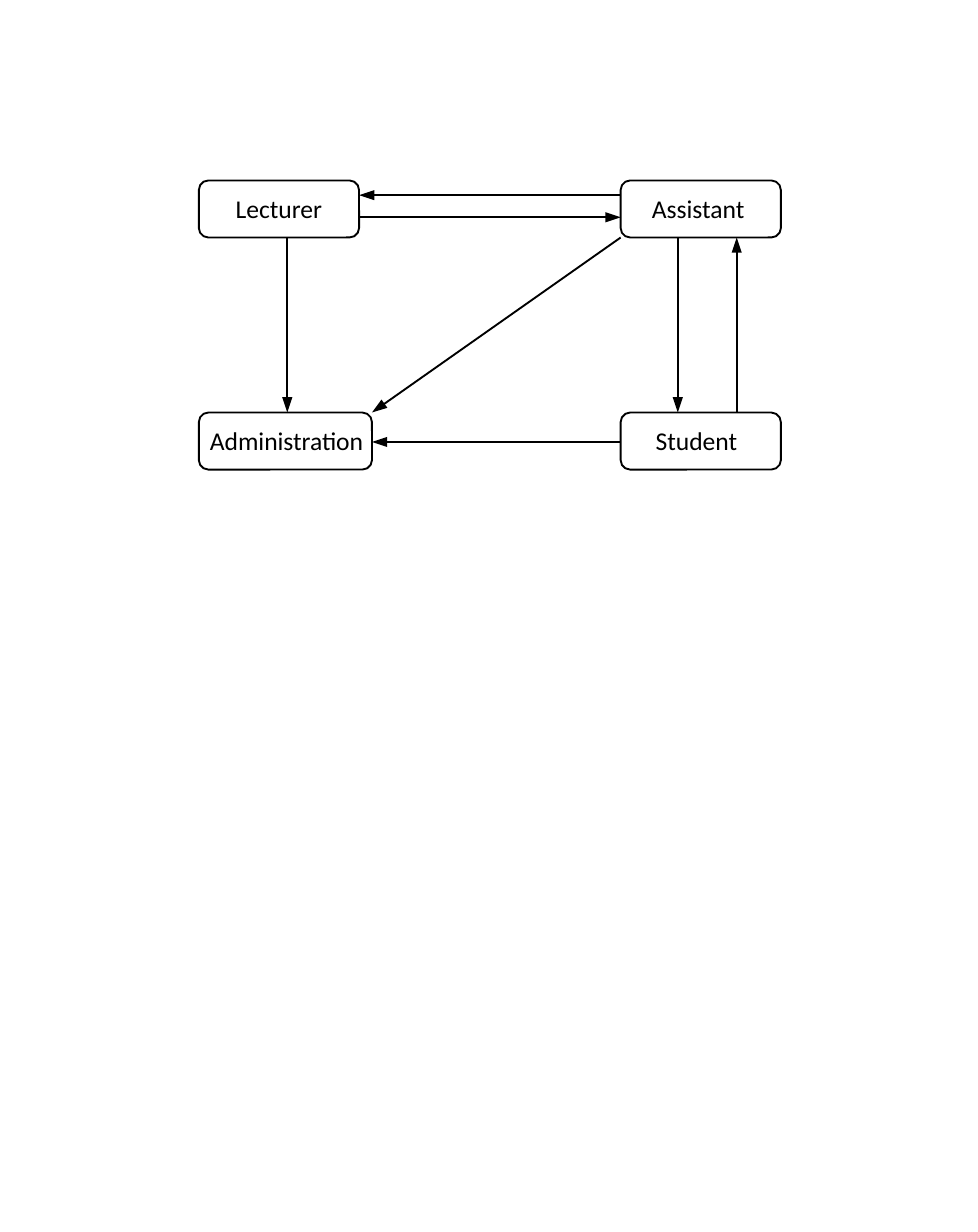
from lxml import etree
from pptx import Presentation
from pptx.dml.color import RGBColor
from pptx.enum.shapes import MSO_CONNECTOR as CONN, MSO_SHAPE as SHAPE
from pptx.enum.text import MSO_ANCHOR as ANCHOR
from pptx.oxml.ns import qn
from pptx.util import Inches, Pt

BLACK = "000000"
LEFT, RIGHT = 1.08, 3.37
TOP, BOTTOM = 0.98, 2.24
NODE_W, ADMIN_W, NODE_H = 0.87, 0.94, 0.31

NODES = [
    ("Lecturer", LEFT, TOP, NODE_W, 0.18, 0.55),
    ("Administration", LEFT, BOTTOM, ADMIN_W, 0.04, 0.94),
    ("Assistant", RIGHT, TOP, NODE_W, 0.15, 0.63),
    ("Student", RIGHT, BOTTOM, NODE_W, 0.17, 0.55),
]

LECTURER_EDGE = LEFT + NODE_W
ADMIN_EDGE = LEFT + ADMIN_W
TOP_EDGE = TOP + NODE_H
ARROWS = [
    (LECTURER_EDGE, 1.18, RIGHT, 1.18),
    (RIGHT, 1.06, LECTURER_EDGE, 1.06),
    (3.68, TOP_EDGE, 3.68, BOTTOM),
    (4.0, BOTTOM, 4.0, TOP_EDGE),
    (1.56, TOP_EDGE, 1.56, BOTTOM),
    (RIGHT, 2.4, ADMIN_EDGE, 2.4),
    (RIGHT, TOP_EDGE, ADMIN_EDGE, BOTTOM),
]


def color(value):
    """Turn a hex string into a colour."""
    return RGBColor.from_string(value)


def style_line(line):
    """Give a line the diagram's stroke."""
    line.color.rgb = color(BLACK)
    line.width = Pt(0.75)


def add_node(slide, name, x, y, w, indent, label_w):
    """Draw a rounded node with its label indented from the left edge."""
    sp = slide.shapes.add_shape(SHAPE.FLOWCHART_ALTERNATE_PROCESS,
                                Inches(x), Inches(y), Inches(w), Inches(NODE_H))
    sp.shadow.inherit = False
    sp.fill.background()
    style_line(sp.line)
    label = slide.shapes.add_textbox(Inches(x + indent), Inches(y + 0.02),
                                     Inches(label_w), Inches(0.27))
    tf = label.text_frame
    tf.word_wrap = True
    tf.vertical_anchor = ANCHOR.TOP
    tf.margin_left = tf.margin_right = Inches(0.02)
    tf.margin_top = tf.margin_bottom = Inches(0.05)
    r = tf.paragraphs[0].add_run()
    r.text = name
    r.font.name = "Calibri"
    r.font.size = Pt(10)
    r.font.color.rgb = color(BLACK)


def add_arrow(slide, x1, y1, x2, y2):
    """Draw a straight arrow pointing at the second point."""
    cxn = slide.shapes.add_connector(CONN.STRAIGHT, Inches(x1), Inches(y1),
                                     Inches(x2), Inches(y2))
    style_line(cxn.line)
    sp_pr = cxn.line._get_or_add_ln().getparent()
    etree.SubElement(sp_pr.find(qn("a:ln")), qn("a:tailEnd"),
                     type="triangle", w="sm", len="med")
    etree.SubElement(sp_pr, qn("a:effectLst"))


def main():
    """Build the role diagram and save it."""
    prs = Presentation()
    prs.slide_width, prs.slide_height = Inches(5.31), Inches(6.69)
    slide = prs.slides.add_slide(prs.slide_layouts[6])
    for node in NODES:
        add_node(slide, *node)
    for arrow in ARROWS:
        add_arrow(slide, *arrow)
    prs.save("out.pptx")


if __name__ == "__main__":
    main()
